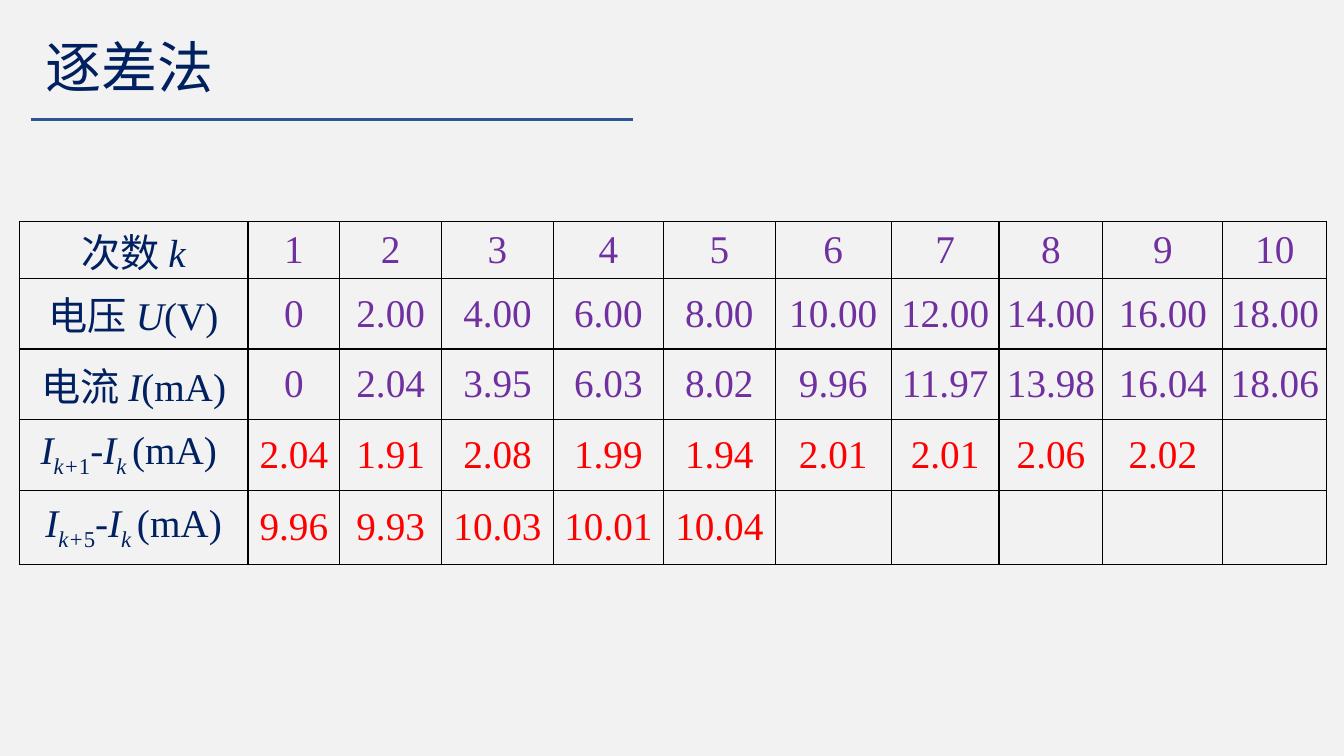
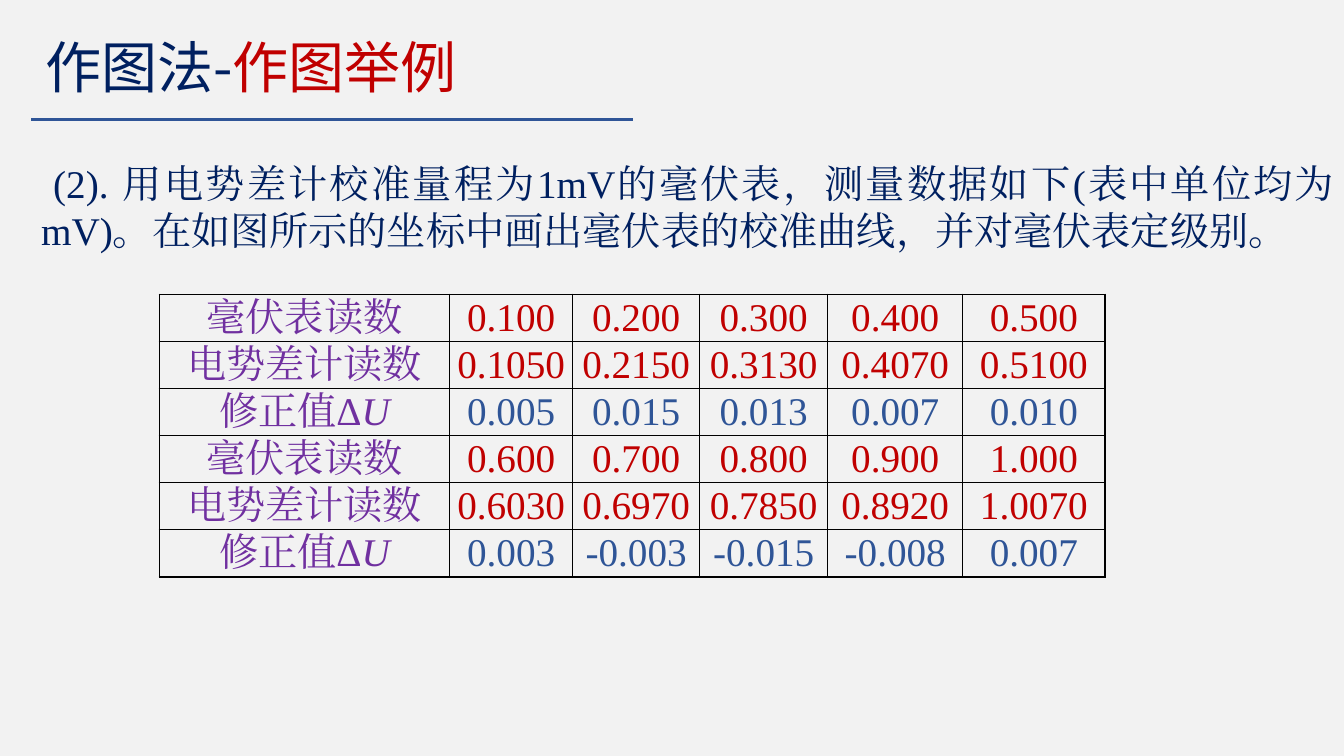
from lxml import etree
from pptx import Presentation
from pptx.dml.color import RGBColor
from pptx.enum.shapes import MSO_CONNECTOR
from pptx.enum.text import MSO_ANCHOR, MSO_AUTO_SIZE, PP_ALIGN
from pptx.oxml.ns import qn
from pptx.util import Inches, Pt

LEFT, CENTER, JUSTIFY = PP_ALIGN.LEFT, PP_ALIGN.CENTER, PP_ALIGN.JUSTIFY
MIDDLE = MSO_ANCHOR.MIDDLE
NO_FIT, GROW = MSO_AUTO_SIZE.NONE, MSO_AUTO_SIZE.SHAPE_TO_FIT_TEXT
STRAIGHT = MSO_CONNECTOR.STRAIGHT

NAVY, BLUE, PURPLE = "002060", "2F5597", "7030A0"
RED, DARK_RED, BLACK, PAPER = "FF0000", "C00000", "000000", "F2F2F2"
SANS, SERIF = "Noto Sans CJK SC", "Times New Roman"
TITLE_SIZE, BODY_SIZE = 40, 28

# Label runs are (text, style): "i" is italic, "s" is subscript.


def difference_label(step, unit):
    return [("I", "i"), ("k+", "is"), (step, "s"), ("-I", "i"), ("k ", "is"), (unit, "")]


# Table rows are (label runs, value colour, values).
DIFFERENCES = {
    "at": (0.19, 2.2),
    "columns": [2.27, 0.91, 1.01, 1.11, 1.09, 1.11, 1.15, 1.07, 1.03, 1.19, 1.03],
    "heights": [0.53, 0.7, 0.7, 0.7, 0.74],
    "label_color": NAVY,
    "label_east_font": SANS,
    "rows": [
        ([("次数 ", ""), ("k", "i")], PURPLE, "1 2 3 4 5 6 7 8 9 10"),
        ([("电压 ", ""), ("U", "i"), ("(V)", "")], PURPLE,
         "0 2.00 4.00 6.00 8.00 10.00 12.00 14.00 16.00 18.00"),
        ([("电流 ", ""), ("I", "i"), ("(mA)", "")], PURPLE,
         "0 2.04 3.95 6.03 8.02 9.96 11.97 13.98 16.04 18.06"),
        (difference_label("1", "(mA) "), RED,
         "2.04 1.91 2.08 1.99 1.94 2.01 2.01 2.06 2.02"),
        (difference_label("5", "(mA)"), RED, "9.96 9.93 10.03 10.01 10.04"),
    ],
}

READING = [("毫伏表读数", "")]
STANDARD = [("电势差计读数", "")]
CORRECTION = [("修正值Δ", ""), ("U", "i")]
CALIBRATION = {
    "at": (1.58, 2.92),
    "columns": [2.88, 1.22, 1.26, 1.27, 1.34, 1.41],
    "heights": [2.8 / 6] * 6,
    "label_color": PURPLE,
    "label_east_font": SERIF,
    "rows": [
        (READING, DARK_RED, "0.100 0.200 0.300 0.400 0.500"),
        (STANDARD, DARK_RED, "0.1050 0.2150 0.3130 0.4070 0.5100"),
        (CORRECTION, BLUE, "0.005 0.015 0.013 0.007 0.010"),
        (READING, DARK_RED, "0.600 0.700 0.800 0.900 1.000"),
        (STANDARD, DARK_RED, "0.6030 0.6970 0.7850 0.8920 1.0070"),
        (CORRECTION, BLUE, "0.003 -0.003 -0.015 -0.008 0.007"),
    ],
}

TASK = (" (2). 用电势差计校准量程为1mV的毫伏表，测量数据如下(表中单位均为mV)。"
        "在如图所示的坐标中画出毫伏表的校准曲线，并对毫伏表定级别。")

# Slides are (title width, title runs with colour, body text, table).
SLIDES = [
    (3.17, [("逐差法", NAVY)], None, DIFFERENCES),
    (5.11, [("作图法-", NAVY), ("作图举例", DARK_RED)], TASK, CALIBRATION),
]


def rgb(color):
    return RGBColor.from_string(color)


def add_span(para, text, color, size=BODY_SIZE, font=SERIF, east_font=None, style=""):
    span = para.add_run()
    span.text = text
    span.font.size = Pt(size)
    span.font.italic = "i" in style
    span.font.color.rgb = rgb(color)
    span.font.name = font
    properties = span._r.get_or_add_rPr()
    etree.SubElement(properties, qn("a:ea")).set("typeface", east_font or font)
    if "s" in style:
        properties.set("baseline", "-25000")


def add_title(slide, width, spans):
    title = slide.shapes.title
    title.left, title.top = Inches(0.35), Inches(0.38)
    title.width, title.height = Inches(width), Inches(0.63)
    frame = title.text_frame
    frame.auto_size = NO_FIT
    frame.word_wrap = True
    frame.vertical_anchor = MIDDLE
    para = frame.paragraphs[0]
    para.alignment = LEFT
    para.line_spacing = 0.9
    for text, color in spans:
        add_span(para, text, color, TITLE_SIZE, SANS)


def add_title_rule(slide):
    rule = slide.shapes.add_connector(
        STRAIGHT, Inches(0.31), Inches(1.19), Inches(6.28), Inches(1.19))
    rule.line.color.rgb = rgb(BLUE)
    rule.line.width = Pt(2.25)
    etree.SubElement(rule._element.spPr, qn("a:effectLst"))


def add_body(slide, text):
    box = slide.shapes.add_textbox(Inches(0.31), Inches(1.53), Inches(13.02), Inches(1.04))
    frame = box.text_frame
    frame.word_wrap = True
    frame.auto_size = GROW
    para = frame.paragraphs[0]
    para.alignment = JUSTIFY
    add_span(para, text, NAVY)


def format_cell(cell):
    """Set thin black borders, no fill, narrow margins and centred text."""
    properties = cell._tc.get_or_add_tcPr()
    for side in ("lnL", "lnR", "lnT", "lnB"):
        border = etree.SubElement(properties, qn(f"a:{side}"), w=str(Pt(1)))
        fill = etree.SubElement(border, qn("a:solidFill"))
        etree.SubElement(fill, qn("a:srgbClr"), val=BLACK)
    cell.fill.background()
    cell.margin_left = cell.margin_right = Inches(0.07)
    cell.margin_top = cell.margin_bottom = 0
    cell.vertical_anchor = MIDDLE
    cell.text_frame.paragraphs[0].alignment = CENTER


def add_data_table(slide, data):
    columns, heights = data["columns"], data["heights"]
    left, top = data["at"]
    table = slide.shapes.add_table(
        len(heights), len(columns), Inches(left), Inches(top),
        Inches(sum(columns)), Inches(sum(heights))).table
    table.first_row = table.horz_banding = False
    for column, width in zip(table.columns, columns):
        column.width = Inches(width)
    for row, height in zip(table.rows, heights):
        row.height = Inches(height)
    for cell in table.iter_cells():
        format_cell(cell)
    for row, (label, color, values) in zip(table.rows, data["rows"]):
        paras = [cell.text_frame.paragraphs[0] for cell in row.cells]
        for text, style in label:
            add_span(paras[0], text, data["label_color"],
                     east_font=data["label_east_font"], style=style)
        for para, value in zip(paras[1:], values.split()):
            add_span(para, value, color)


def main():
    deck = Presentation()
    deck.slide_width, deck.slide_height = Inches(13.33), Inches(7.5)
    background = deck.slide_master.background.fill
    background.solid()
    background.fore_color.rgb = rgb(PAPER)
    title_only = deck.slide_layouts.get_by_name("Title Only")
    for title_width, title_spans, body, data in SLIDES:
        slide = deck.slides.add_slide(title_only)
        add_title(slide, title_width, title_spans)
        add_title_rule(slide)
        if body:
            add_body(slide, body)
        add_data_table(slide, data)
    deck.save("out.pptx")


if __name__ == "__main__":
    main()
